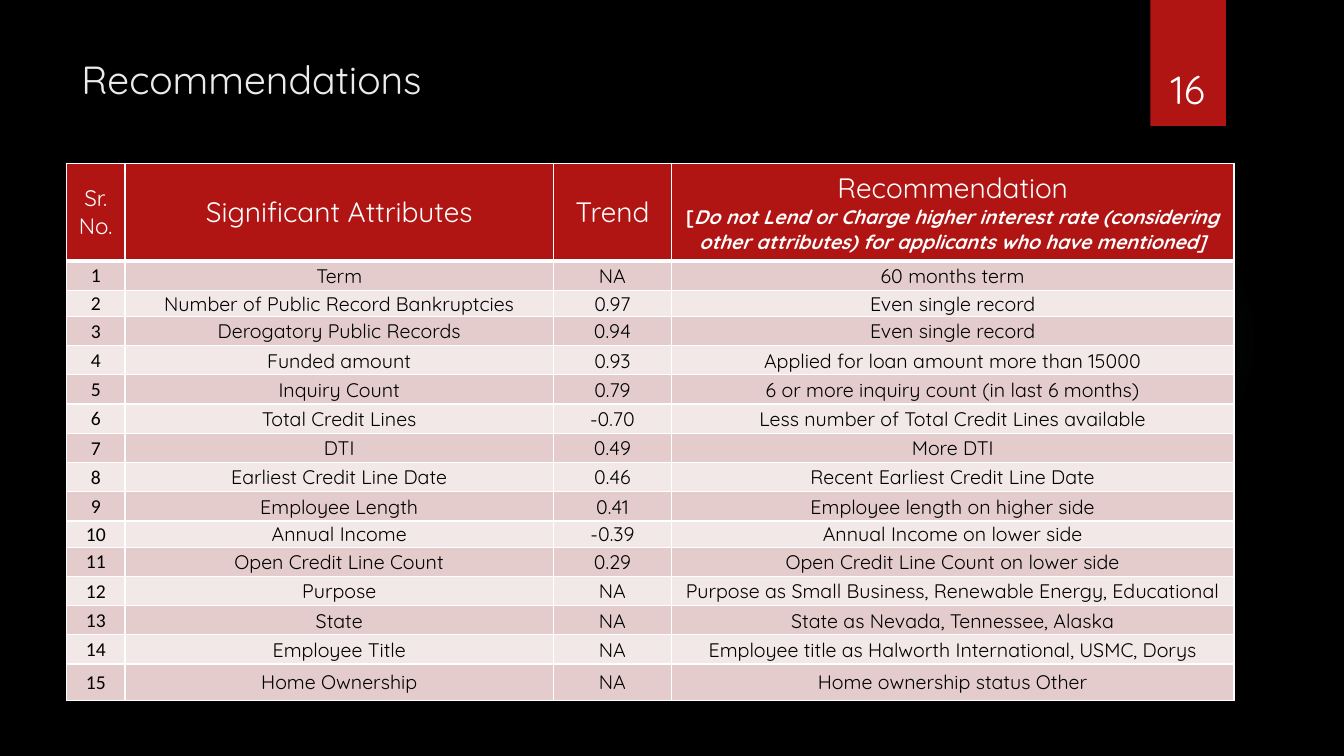
"""Build the Recommendations slide with its table of loan attributes."""
import dataclasses

import lxml.etree
import pptx
import pptx.dml.color
import pptx.enum.shapes
import pptx.enum.text
import pptx.oxml
import pptx.oxml.ns
import pptx.util

Inches = pptx.util.Inches
Align = pptx.enum.text.PP_ALIGN
Anchor = pptx.enum.text.MSO_ANCHOR
Shapes = pptx.enum.shapes.MSO_SHAPE
rgb = pptx.dml.color.RGBColor.from_string


@dataclasses.dataclass(frozen=True)
class Theme:
    font: str = "Quicksand"
    number_font: str = "Calibri"
    background: str = "000000"
    red: str = "B01513"
    glow: str = "50B9C1"
    title: str = "EBEBEB"
    white: str = "FFFFFF"
    black: str = "000000"
    bands: tuple = ("E4CCCC", "F2E8E7")
    title_size: int = 28
    header_size: int = 20
    serial_size: int = 16
    body_size: int = 14


theme = Theme()


def write(paragraph, text, size=theme.body_size, color=theme.black, font=theme.font,
          bold=False, italic=False, align=Align.CENTER):
    paragraph.alignment = align
    run = paragraph.add_run()
    run.text = text
    run.font.name = font
    run.font.size = pptx.util.Pt(size)
    run.font.color.rgb = rgb(color)
    run.font.bold = bold
    run.font.italic = italic


def add_drawingml(parent, markup):
    namespace = pptx.oxml.ns.nsdecls("a")
    wrapper = pptx.oxml.parse_xml(f"<a:wrapper {namespace}>{markup}</a:wrapper>")
    parent.extend(list(wrapper))


presentation = pptx.Presentation()
presentation.slide_width = Inches(13.33)
presentation.slide_height = Inches(7.5)
slide = presentation.slides.add_slide(presentation.slide_layouts[6])
slide.background.fill.solid()
slide.background.fill.fore_color.rgb = rgb(theme.background)

glow = slide.shapes.add_shape(Shapes.OVAL, Inches(9.41), Inches(1.83), Inches(3.08), Inches(3.08))
glow.line.fill.background()
glow.shadow.inherit = False
glow.fill.gradient()
gradient = glow._element.spPr.find(pptx.oxml.ns.qn("a:gradFill"))
for child in list(gradient):
    gradient.remove(child)
stops = "".join(
    f'<a:gs pos="{position}000"><a:srgbClr val="{theme.glow}"><a:alpha val="{alpha}000"/></a:srgbClr></a:gs>'
    for position, alpha in ((0, 7), (36, 6), (69, 0))
)
add_drawingml(gradient, f'<a:gsLst>{stops}</a:gsLst><a:path path="circle">'
              '<a:fillToRect l="50000" t="50000" r="50000" b="50000"/></a:path>')

ribbon = slide.shapes.add_shape(Shapes.RECTANGLE, Inches(11.41), 0, Inches(0.75), Inches(1.25))
ribbon.fill.solid()
ribbon.fill.fore_color.rgb = rgb(theme.red)
ribbon.line.fill.background()
ribbon.shadow.inherit = False

labels = (
    ("Recommendations", (0.71, 0.5, 10.29, 1.53), theme.title, Align.LEFT, Anchor.TOP),
    ("16", (11.32, 0.32, 0.92, 0.84), theme.white, Align.CENTER, Anchor.BOTTOM),
)
for text, place, color, align, anchor in labels:
    frame = slide.shapes.add_textbox(*map(Inches, place)).text_frame
    frame.word_wrap = True
    frame.vertical_anchor = anchor
    write(frame.paragraphs[0], text, size=theme.title_size, color=color, align=align)

headers = ("Sr. No.", "Significant Attributes", "Trend", "Recommendation")
attributes = (
    ("Term", "NA", "60 months term"),
    ("Number of Public Record Bankruptcies", "0.97", "Even single record"),
    ("Derogatory Public Records", "0.94", "Even single record"),
    ("Funded amount", "0.93", "Applied for loan amount more than 15000"),
    ("Inquiry Count", "0.79", "6 or more inquiry count (in last 6 months)"),
    ("Total Credit Lines", "-0.70", "Less number of Total Credit Lines available"),
    ("DTI", "0.49", "More DTI"),
    ("Earliest Credit Line Date", "0.46", "Recent Earliest Credit Line Date"),
    ("Employee Length", "0.41", "Employee length on higher side"),
    ("Annual Income", "-0.39", "Annual Income on lower side"),
    ("Open Credit Line Count", "0.29", "Open Credit Line Count on lower side"),
    ("Purpose", "NA", "Purpose as Small Business, Renewable Energy, Educational"),
    ("State", "NA", "State as Nevada, Tennessee, Alaska"),
    ("Employee Title", "NA", "Employee title as Halworth International, USMC, Dorys"),
    ("Home Ownership", "NA", "Home ownership status Other"),
)
rows = [headers] + [(str(number), *row) for number, row in enumerate(attributes, 1)]
special_heights = {0: 0.97, 2: 0.26, 10: 0.26, 15: 0.36}
table = slide.shapes.add_table(
    len(rows), len(headers), Inches(0.66), Inches(1.62), Inches(11.57), Inches(5.35)).table
table.first_row = False
table.horz_banding = False
for column, width in zip(table.columns, (0.58, 4.25, 1.17, 5.58)):
    column.width = Inches(width)

for row_index, row in enumerate(rows):
    table.rows[row_index].height = Inches(special_heights.get(row_index, 0.29))
    is_header = row_index == 0
    for column_index, text in enumerate(row):
        cell = table.cell(row_index, column_index)
        cell.vertical_anchor = Anchor.MIDDLE
        paragraph = cell.text_frame.paragraphs[0]
        is_serial = column_index == 0
        if is_header:
            size = theme.serial_size if is_serial else theme.header_size
            write(paragraph, text, size=size, color=theme.white)
        else:
            cell.margin_left = cell.margin_right = cell.margin_top = Inches(0.01)
            cell.margin_bottom = 0
            write(paragraph, text, font=theme.number_font if is_serial else theme.font)
        widths = {"L": 1, "R": 1, "T": 3 if row_index == 1 else 1, "B": 3 if is_header else 1}
        add_drawingml(cell._tc.get_or_add_tcPr(), "".join(
            f'<a:ln{side} w="{pptx.util.Pt(width)}"><a:solidFill><a:srgbClr val="{theme.white}"/>'
            f'</a:solidFill></a:ln{side}>' for side, width in widths.items()))
        cell.fill.solid()
        cell.fill.fore_color.rgb = rgb(theme.red if is_header else theme.bands[(row_index - 1) % 2])

condition = table.cell(0, 3).text_frame.add_paragraph()
write(condition, "[", color=theme.white, bold=True)
write(condition, "Do not Lend or Charge higher interest rate (considering other attributes) "
      "for applicants who have mentioned]", color=theme.white, bold=True, italic=True)

presentation.save("out.pptx")
